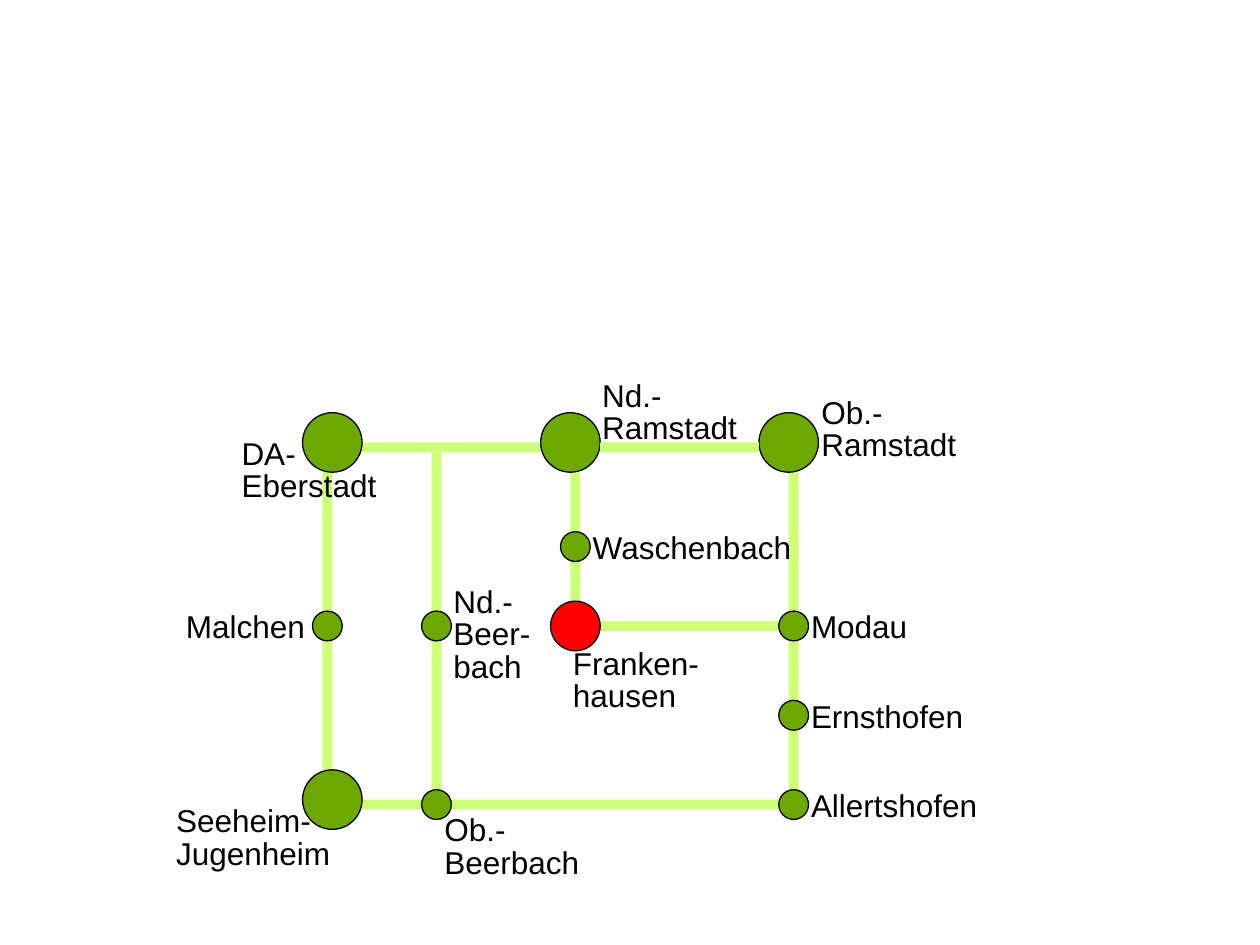
from dataclasses import dataclass

from pptx import Presentation
from pptx import util as u
from pptx.dml.color import RGBColor
from pptx.enum import shapes, text


@dataclass(frozen=True)
class Theme:
    road: str = "CFFF79"
    town: str = "6CA800"
    focus: str = "FF0000"
    ink: str = "000000"
    font: str = "Arial"
    label_size: float = 18
    outline: float = 0.75
    tight: float = 0.85


COLUMNS, ROWS = 254, 190.5
ROAD, VILLAGE, FOCUS, TOWN = 2, 6, 10, 12  # widths and diameters in columns

# Street lines of the map, in grid columns and rows
WEST, BEERBACH, CENTRE, EAST = 66, 88, 116, 160
NORTH, WOODS, MIDDLE, LOWER, SOUTH = 90.2, 110.2, 126.2, 144.2, 162.2


class RoadMap:
    def __init__(self, deck, theme):
        self.theme = theme
        self.page = deck.slides.add_slide(deck.slide_layouts[6])
        self.cell = deck.slide_width / COLUMNS

    def grid(self, *lengths):
        return [u.Emu(round(length * self.cell)) for length in lengths]

    def shape(self, kind, x, y, width, height, fill):
        """Add a filled shape centred on column x and row y."""
        item = self.page.shapes.add_shape(
            kind, *self.grid(x - width / 2, y - height / 2, width, height))
        item.shadow.inherit = False
        item.fill.solid()
        item.fill.fore_color.rgb = RGBColor.from_string(fill)
        item.line.fill.background()
        return item

    def road(self, x, y, length, upright=False):
        bar = self.shape(shapes.MSO_SHAPE.RECTANGLE, x, y, length, ROAD,
                         self.theme.road)
        bar.rotation = 270 if upright else 0

    def street(self, row, start, end):
        self.road((start + end) / 2, row, end - start)

    def avenue(self, column, start, end):
        self.road(column, (start + end) / 2, end - start, upright=True)

    def place(self, x, y, size, fill):
        dot = self.shape(shapes.MSO_SHAPE.OVAL, x, y, size, size, fill)
        dot.line.color.rgb = RGBColor.from_string(self.theme.ink)
        dot.line.width = u.Pt(self.theme.outline)

    def label(self, name, left, top, width, lines=1):
        """Add a name; a newline in it starts a new paragraph."""
        height = 10.2 if lines == 1 else 2.5 + 6.5 * lines
        box = self.page.shapes.add_textbox(*self.grid(left, top, width, height))
        frame = box.text_frame
        frame.word_wrap = True
        frame.auto_size = text.MSO_AUTO_SIZE.SHAPE_TO_FIT_TEXT
        for index, part in enumerate(name.split("\n")):
            para = frame.add_paragraph() if index else frame.paragraphs[0]
            if lines > 1:
                para.line_spacing = self.theme.tight
            span = para.add_run()
            span.text = part
            span.font.name = self.theme.font
            span.font.size = u.Pt(self.theme.label_size)
            span.font.color.rgb = RGBColor.from_string(self.theme.ink)


def main():
    deck = Presentation()
    deck.slide_width, deck.slide_height = u.Inches(10), u.Inches(7.5)
    theme = Theme()
    road_map = RoadMap(deck, theme)

    # Roads
    for row, start, end in [(SOUTH, 73, 157), (MIDDLE, 119, 157),
                            (NORTH, 73, 109)]:
        road_map.street(row, start, end)
    for column, start, end in [(EAST, 95.2, 159.2), (BEERBACH, 91.2, 159.2),
                               (CENTRE, 95.2, 127.2), (WEST, 95.2, 155.2)]:
        road_map.avenue(column, start, end)

    # Towns sit one cell off the street lines
    for column, row in [(CENTRE - 1, NORTH - 1), (WEST + 1, NORTH - 1),
                        (EAST - 1, NORTH - 1), (WEST + 1, SOUTH - 1)]:
        road_map.place(column, row, TOWN, theme.town)

    # Villages, and the highlighted one
    for column, row in [(CENTRE, WOODS), (BEERBACH, MIDDLE), (WEST, MIDDLE),
                        (BEERBACH, SOUTH), (EAST, LOWER), (EAST, MIDDLE),
                        (EAST, SOUTH)]:
        road_map.place(column, row, VILLAGE, theme.town)
    road_map.place(CENTRE, MIDDLE, FOCUS, theme.focus)

    # Names beside the dots
    for name, left, top, width, lines in [
        ("Nd.-Ramstadt", 118.9, 75.7, 36, 2),
        ("Ob.-Ramstadt", 163.1, 79.2, 36, 2),
        ("DA-Eberstadt", 46.2, 87.4, 36.8, 2),
        ("Seeheim-Jugenheim", 33, 161.5, 40.1, 2),
        ("Ernsthofen", EAST + 1, LOWER - 5, 44, 1),
        ("Modau", EAST + 1, MIDDLE - 5, 42, 1),
        ("Franken-\nhausen", 113, 129.8, 34, 2),
        ("Waschenbach", CENTRE + 1, WOODS - 5, 46, 1),
        ("Malchen", 35, MIDDLE - 5, 32.8, 1),
        ("Allertshofen", EAST + 1, SOUTH - 5, 44, 1),
        ("Nd.-Beer-bach", 88.9, 117.3, 24.1, 3),
        ("Ob.-Beerbach", 87.1, 163.3, 36, 2),
    ]:
        road_map.label(name, left, top, width, lines)

    # Road between the two northern towns, in front of the names
    road_map.street(NORTH, 121, 153)

    deck.save("out.pptx")


if __name__ == "__main__":
    main()
